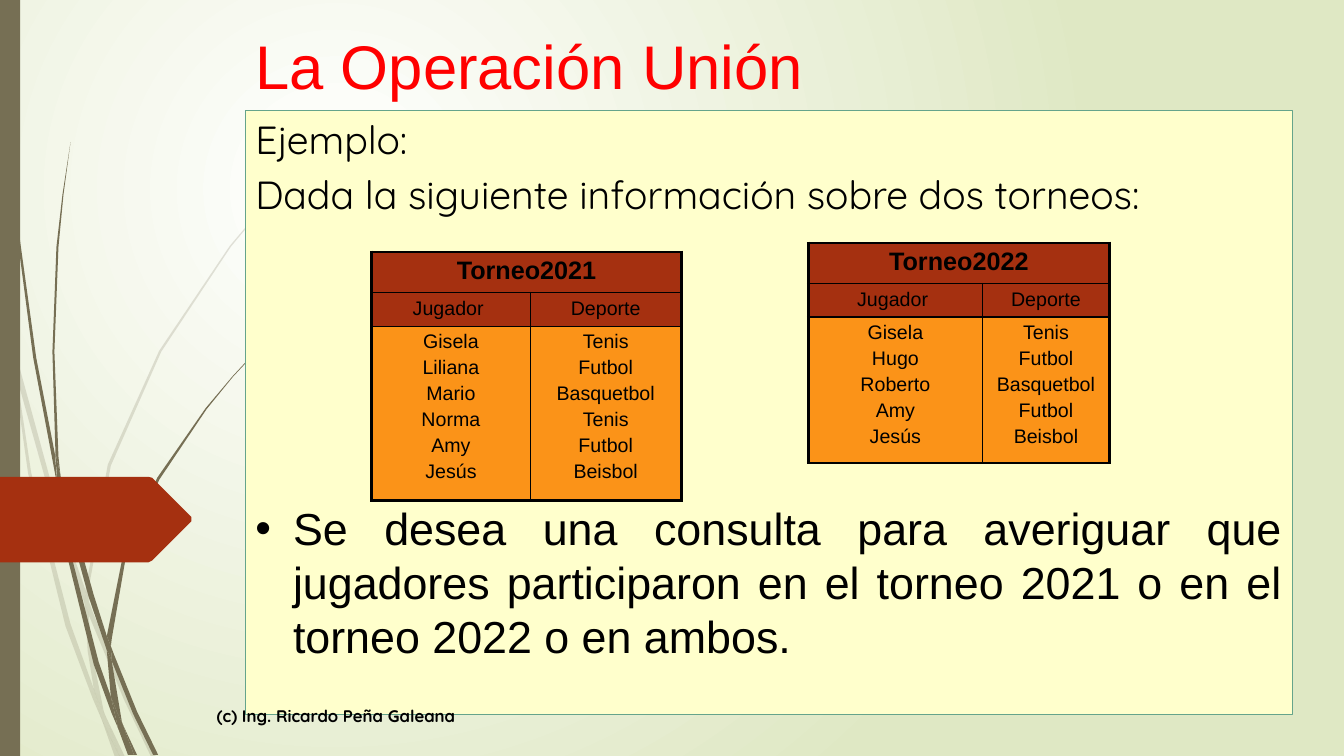
"""Build the slide that introduces the union operation with two tournament tables."""
from lxml.etree import SubElement
from pptx import Presentation
from pptx.dml.color import RGBColor
from pptx.enum.shapes import MSO_SHAPE as Preset
from pptx.enum.text import MSO_ANCHOR as Anchor, MSO_AUTO_SIZE as AutoSize, PP_ALIGN as Align
from pptx.oxml.ns import qn
from pptx.util import Cm, Pt

TITLE = "La Operación Unión"
INTRO = ["Ejemplo:", "Dada la siguiente información sobre dos torneos:"]
QUESTION = ("Se desea una consulta para averiguar que jugadores participaron "
            "en el torneo 2021 o en el torneo 2022 o en ambos.")
CREDIT = "(c) Ing. Ricardo Peña Galeana"
HEADINGS = ["Jugador ", "Deporte"]
TOURNAMENTS = [
    {"name": "Torneo2021", "corner": (9.37, 6.35), "columns": (3.99, 3.81), "height": 4.39,
     "entries": [("Gisela", "Tenis"), ("Liliana", "Futbol"), ("Mario", "Basquetbol"),
                 ("Norma", "Tenis"), ("Amy", "Futbol"), ("Jesús", "Beisbol")]},
    {"name": "Torneo2022", "corner": (20.37, 6.12), "columns": (4.39, 3.2), "height": 3.68,
     "entries": [("Gisela", "Tenis"), ("Hugo", "Futbol"), ("Roberto", "Basquetbol"),
                 ("Amy", "Futbol"), ("Jesús", "Beisbol")]},
]

BLACK, RED, RUST, ORANGE = "000000", "FF0000", "A53010", "FB9318"
OLIVE, CREAM, TEAL = "766F54", "FFFFCC", "65A48B"
GLOW = ["FFFFFF", "DFE8C4"]

GRASS_UNIT = Cm(2.54) / 100
PALE_GRASS = [
    [(11, 350), (9, 322), (0, 282), (0, 299), (10, 344)],
    [(58, 522), (84, 599), (85, 586), (62, 520), (14, 345), (17, 376)],
    [(92, 607), (88, 596), (88, 610), (123, 694), (150, 751), (155, 751), (127, 692)],
    [(119, 751), (124, 751), (105, 711)],
    [(93, 683), (70, 619), (31, 469), (17, 376), (11, 350), (28, 470), (65, 621), (92, 693),
     (101, 714), (99, 707)],
    [(84, 599), (87, 646), (93, 683), (96, 692), (105, 711), (103, 706), (91, 646), (88, 610),
     (88, 608)],
    [(88, 584), (110, 462), (160, 349), (229, 245), (268, 198), (290, 175), (312, 154),
     (312, 153), (289, 175), (268, 197), (228, 244), (158, 348), (107, 461), (85, 584),
     (85, 586), (88, 596)],
    [(101, 714), (114, 751), (119, 751)],
    [(88, 608), (88, 610), (88, 596), (85, 586), (84, 599)],
    [(96, 692), (93, 683), (99, 707), (101, 714), (119, 751), (105, 711)],
]
DARK_GRASS = [
    [(7, 110), (17, 233), (33, 355), (56, 477), (57, 481), (55, 457), (55, 453), (36, 355),
     (19, 232), (8, 109), (5, 48), (4, 0), (3, 0), (4, 48)],
    [(88, 592), (106, 645), (106, 633), (106, 631), (93, 590), (60, 472), (64, 505)],
    [(113, 649), (110, 641), (111, 656), (132, 708), (152, 749), (157, 749), (136, 706)],
    [(110, 691), (98, 657), (72, 556), (64, 505), (57, 477), (68, 557), (93, 659), (111, 708),
     (117, 722), (116, 717)],
    [(60, 472), (58, 453), (54, 349), (58, 245), (63, 193), (70, 141), (62, 193), (56, 245),
     (52, 349), (55, 449)],
    [(133, 749), (136, 749), (122, 719)],
    [(57, 477), (64, 505), (60, 472), (55, 449), (55, 453)],
    [(111, 633), (125, 552), (158, 476), (205, 406), (231, 374), (245, 359), (261, 344),
     (260, 344), (245, 358), (231, 373), (204, 405), (156, 474), (122, 551), (106, 631),
     (110, 641)],
    [(117, 722), (127, 749), (131, 749)],
    [(106, 645), (110, 691), (116, 706), (122, 719), (121, 716), (111, 656), (109, 651)],
    [(106, 645), (109, 651), (111, 656), (110, 641), (106, 631), (106, 633)],
    [(116, 706), (110, 691), (116, 717), (117, 722), (130, 749), (133, 749), (122, 719)],
]
POINTER = [(0, 473), (147, 473), (151, 474), (190, 513), (190, 517), (151, 556), (147, 558),
           (0, 558)]


def color(hex_code):
    return RGBColor.from_string(hex_code)


def paint(shape, hex_code):
    shape.shadow.inherit = False
    shape.fill.solid()
    shape.fill.fore_color.rgb = color(hex_code)
    shape.line.fill.background()


def write(paragraph, text, size, face, hex_code=BLACK, bold=False, align=Align.LEFT, before=0):
    paragraph.text = text
    paragraph.alignment = align
    paragraph.space_before = Pt(before)
    for run in paragraph.runs:
        run.font.size, run.font.name, run.font.bold = Pt(size), face, bold
        run.font.color.rgb = color(hex_code)


def place(shape, left, top, width, height):
    shape.left, shape.top, shape.width, shape.height = Cm(left), Cm(top), Cm(width), Cm(height)


def draw_outline(shapes, corners, hex_code, alpha=None):
    builder = shapes.build_freeform(*corners[0], scale=GRASS_UNIT)
    builder.add_line_segments(corners[1:])
    outline = builder.convert_to_shape()
    paint(outline, hex_code)
    if alpha:
        tint = outline._element.spPr.find(qn("a:solidFill"))[0]
        SubElement(tint, qn("a:alpha"), val=str(alpha * 1000))


def set_bullet(paragraph, mark=None, indent=0):
    props = paragraph._p.get_or_add_pPr()
    props.set("marL", str(Cm(indent)))
    props.set("indent", str(-Cm(indent)))
    if mark:
        SubElement(props, qn("a:buFont"), typeface="Arial")
        SubElement(props, qn("a:buChar"), char=mark)
    else:
        SubElement(props, qn("a:buNone"))


def set_borders(cell, widths):
    props = cell._tc.get_or_add_tcPr()
    for position, (side, width) in enumerate(zip(("lnL", "lnR", "lnT", "lnB"), widths)):
        edge = props.makeelement(qn(f"a:{side}"), {"w": str(Pt(width))})
        SubElement(SubElement(edge, qn("a:solidFill")), qn("a:srgbClr"), val=BLACK)
        props.insert(position, edge)


def add_tournament(shapes, tournament):
    heights = (1.02, 0.84, tournament["height"])
    columns = tournament["columns"]
    grid = shapes.add_table(3, 2, *map(Cm, tournament["corner"]),
                            Cm(sum(columns)), Cm(sum(heights))).table
    grid.first_row = grid.horz_banding = False
    for column, width in zip(grid.columns, columns):
        column.width = Cm(width)
    for row, height in zip(grid.rows, heights):
        row.height = Cm(height)
    grid.cell(0, 0).merge(grid.cell(0, 1))
    contents = [[[tournament["name"]], []], [[heading] for heading in HEADINGS],
                list(zip(*tournament["entries"]))]
    for r, row in enumerate(contents):
        for c, lines in enumerate(row):
            cell = grid.cell(r, c)
            cell.fill.solid()
            cell.fill.fore_color.rgb = color(ORANGE if r == 2 else RUST)
            outer_sides = (c == 0, c == 1 or r == 0, r == 0, r == 2)
            set_borders(cell, [2.25 if outer else 1 for outer in outer_sides])
            for n, line in enumerate(lines):
                paragraph = cell.text_frame.add_paragraph() if n else cell.text_frame.paragraphs[0]
                write(paragraph, line, 14 if r else 18, "Arial", bold=r == 0,
                      align=Align.CENTER, before=2.8 if n else 0)


def set_background(slide):
    fill = slide.background.fill
    fill.gradient()
    for stop, position, shade in zip(fill.gradient_stops, (0, 1), GLOW):
        stop.position, stop.color.rgb = position, color(shade)
    gradient = slide._element.find(".//" + qn("a:gradFill"))
    gradient.remove(gradient.find(qn("a:lin")))
    circle = SubElement(gradient, qn("a:path"), path="circle")
    SubElement(circle, qn("a:fillToRect"), l="50000", t="50000", r="100000", b="100000")


def main():
    deck = Presentation()
    deck.slide_width, deck.slide_height = Cm(33.87), Cm(19.05)
    slide = deck.slides.add_slide(deck.slide_layouts[1])
    shapes = slide.shapes
    title, body = shapes.title, slide.placeholders[1]
    set_background(slide)

    for leaf in PALE_GRASS:
        draw_outline(shapes, leaf, OLIVE, alpha=20)
    for leaf in DARK_GRASS:
        draw_outline(shapes, leaf, OLIVE)
    side_bar = shapes.add_shape(Preset.RECTANGLE, 0, 0, Cm(0.51), deck.slide_height)
    paint(side_bar, OLIVE)
    draw_outline(shapes, POINTER, RUST)
    for holder in (title, body):
        shapes._spTree.append(holder._element)

    place(title, 6.18, 0.66, 22.07, 2.03)
    title.text_frame.auto_size = AutoSize.NONE
    title.text_frame.vertical_anchor = Anchor.BOTTOM
    write(title.text_frame.paragraphs[0], TITLE, 44, "Arial", RED)

    place(body, 6.18, 2.79, 26.4, 15.21)
    body.fill.solid()
    body.fill.fore_color.rgb = color(CREAM)
    body.line.color.rgb, body.line.width = color(TEAL), Pt(0.75)
    frame = body.text_frame
    frame.auto_size = AutoSize.NONE
    frame.text = "\n".join([*INTRO, QUESTION])
    example, given, question = frame.paragraphs
    set_bullet(example)
    set_bullet(given)
    set_bullet(question, "•", 0.95)
    write(example, INTRO[0], 28, "Quicksand")
    write(given, INTRO[1], 28, "Quicksand", before=5.2)
    write(question, QUESTION, 32, "Arial", align=Align.JUSTIFY, before=202.8)
    question.line_spacing = Pt(38.5)

    credit = shapes.add_textbox(Cm(5.21), Cm(17.53), Cm(21.16), Cm(1.02)).text_frame
    credit.word_wrap = True
    credit.vertical_anchor = Anchor.MIDDLE
    write(credit.paragraphs[0], CREDIT, 12, "Quicksand", bold=True)
    for tournament in TOURNAMENTS:
        add_tournament(shapes, tournament)
    deck.save("out.pptx")


if __name__ == "__main__":
    main()
